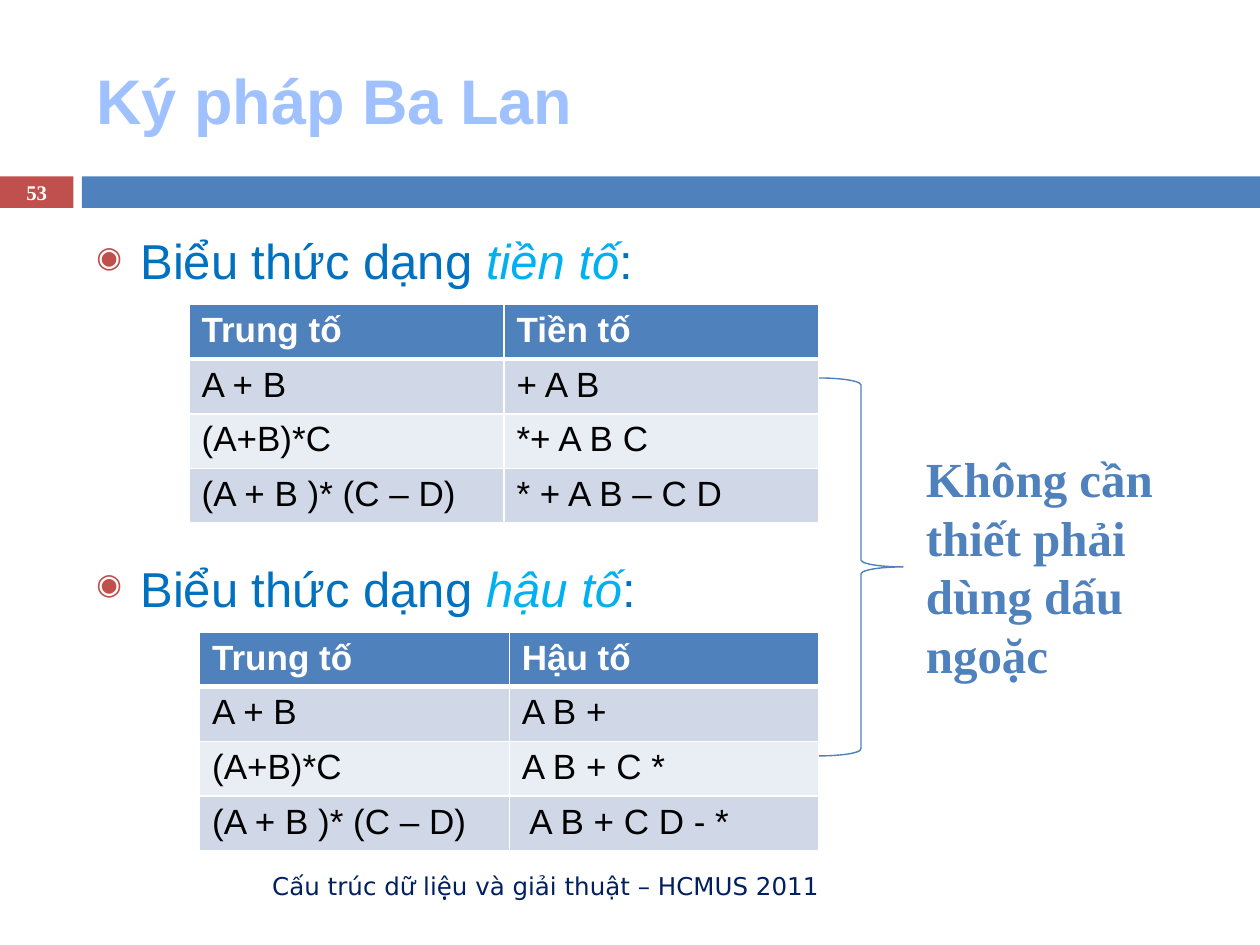
from typing import NamedTuple

from lxml.etree import SubElement
from pptx import Presentation
from pptx.dml.color import RGBColor
from pptx.enum.shapes import MSO_SHAPE as Shape
from pptx.enum.text import MSO_ANCHOR as Anchor, PP_ALIGN as Align
from pptx.oxml.ns import qn
from pptx.util import Inches, Pt

BLUE, RED, WHITE = "4F81BD", "C0504D", "FFFFFF"
BANDS = ("D0D8E8", "E9EDF4")
SANS, SERIF = "Arial", "Times New Roman"


class Box(NamedTuple):
    """Left, top, width and height on a grid of 120 columns by 90 rows."""
    x: float
    y: float
    w: float
    h: float


class Style(NamedTuple):
    size: float
    color: str
    font: str = SANS
    bold: bool = False
    italic: bool = False


class Section(NamedTuple):
    form: str
    bullet_box: Box
    table_box: Box
    rows: list[tuple[str, str]]


SECTIONS = [
    Section("tiền tố", Box(8, 21.4, 107, 6.6), Box(18, 29, 60, 20.8), [
        ("Trung tố", "Tiền tố"),
        ("A + B", "+ A B"),
        ("(A+B)*C", "*+ A B C"),
        ("(A + B )* (C – D)", "* + A B – C D"),
    ]),
    Section("hậu tố", Box(8, 52.6, 107, 6.6), Box(19, 60.2, 59, 20.8), [
        ("Trung tố", "Hậu tố"),
        ("A + B", "A B +"),
        ("(A+B)*C", "A B + C *"),
        ("(A + B )* (C – D)", "A B + C D - *"),
    ]),
]


def grid(units: float) -> int:
    return Inches(units / 12)


def place(box: Box) -> list[int]:
    return [grid(v) for v in box]


def rgb(color: str) -> RGBColor:
    return RGBColor.from_string(color)


def format_run(r, style: Style) -> None:
    f = r.font
    f.size, f.name = Pt(style.size), style.font
    f.bold, f.italic = style.bold, style.italic
    f.color.rgb = rgb(style.color)


def add_bar(s, box: Box, color: str) -> None:
    sp = s.shapes.add_shape(Shape.RECTANGLE, *place(box))
    sp.shadow.inherit = False
    sp.fill.solid()
    sp.fill.fore_color.rgb = rgb(color)
    sp.line.fill.background()


def add_text(s, box: Box, parts: list[tuple[str, Style]],
             anchor=Anchor.MIDDLE, align=Align.LEFT):
    """Add a one-paragraph text box and return its paragraph."""
    tf = s.shapes.add_textbox(*place(box)).text_frame
    tf.word_wrap, tf.vertical_anchor = True, anchor
    p = tf.paragraphs[0]
    p.alignment = align
    for text, style in parts:
        r = p.add_run()
        r.text = text
        format_run(r, style)
    return p


def add_bullet(p) -> None:
    pPr = p._p.get_or_add_pPr()
    pPr.set("marL", str(Inches(0.35)))
    pPr.set("indent", str(-Inches(0.35)))
    color = SubElement(pPr, qn("a:buClr"))
    SubElement(color, qn("a:srgbClr"), val=RED)
    SubElement(pPr, qn("a:buSzPct"), val="60000")
    SubElement(pPr, qn("a:buChar"), char="◉")


def set_borders(cell, bottom: float, top: float) -> None:
    tcPr = cell._tc.get_or_add_tcPr()
    widths = {"lnL": 1, "lnR": 1, "lnT": top, "lnB": bottom}
    for i, (side, width) in enumerate(widths.items()):
        ln = tcPr.makeelement(qn(f"a:{side}"), {"w": str(Pt(width))})
        fill = SubElement(ln, qn("a:solidFill"))
        SubElement(fill, qn("a:srgbClr"), val=WHITE)
        tcPr.insert(i, ln)


def add_notation_table(s, box: Box, rows: list[tuple[str, str]]):
    table = s.shapes.add_table(len(rows), 2, *place(box)).table
    for col in table.columns:
        col.width = grid(box.w / 2)
    for i, texts in enumerate(rows):
        table.rows[i].height = grid(box.h / len(rows))
        header = i == 0
        fill = BLUE if header else BANDS[(i - 1) % 2]
        style = Style(20, WHITE if header else "000000", bold=header)
        for j, text in enumerate(texts):
            cell = table.cell(i, j)
            cell.text = text
            cell.fill.solid()
            cell.fill.fore_color.rgb = rgb(fill)
            format_run(cell.text_frame.paragraphs[0].runs[0], style)
            set_borders(cell, bottom=3 if header else 1, top=3 if i == 1 else 1)
    return table


def add_section(s, section: Section):
    plain = Style(28, "0070C0")
    p = add_text(s, section.bullet_box, [
        ("Biểu thức dạng ", plain),
        (section.form, Style(28, "00B0F0", italic=True)),
        (":", plain),
    ], Anchor.TOP)
    add_bullet(p)
    return add_notation_table(s, section.table_box, section.rows)


def add_brace(s, box: Box) -> None:
    sp = s.shapes.add_shape(Shape.RIGHT_BRACE, *place(box))
    sp.shadow.inherit = False
    sp.fill.background()
    sp.line.color.rgb = rgb(BLUE)
    sp.line.width = Pt(0.79)


def main() -> None:
    prs = Presentation()
    prs.slide_width, prs.slide_height = grid(120), grid(90)
    s = prs.slides.add_slide(prs.slide_layouts[6])

    add_bar(s, Box(0, 16.8, 7, 3), RED)
    add_bar(s, Box(7.8, 16.8, 112.2, 3), BLUE)
    add_text(s, Box(8, 3, 107, 13),
             [("Ký pháp Ba Lan", Style(36, "A0C1FF", bold=True))])
    add_text(s, Box(0, 16.7, 7, 3.2),
             [("53", Style(11.9, WHITE, SERIF, bold=True))], align=Align.CENTER)
    add_text(s, Box(8, 82, 71.2, 4.8),
             [("Cấu trúc dữ liệu và giải thuật – HCMUS 2011",
               Style(14, "002060", "DejaVu Sans"))], align=Align.RIGHT)

    tables = [add_section(s, section) for section in SECTIONS]
    tables[-1].cell(3, 1).margin_left = Inches(0.16)

    add_brace(s, Box(78, 36, 8, 36))
    add_text(s, Box(87, 42.1, 25, 23.9),
             [("Không cần thiết phải dùng dấu ngoặc",
               Style(28, BLUE, SERIF, bold=True))], Anchor.TOP)
    prs.save("out.pptx")


if __name__ == "__main__":
    main()
